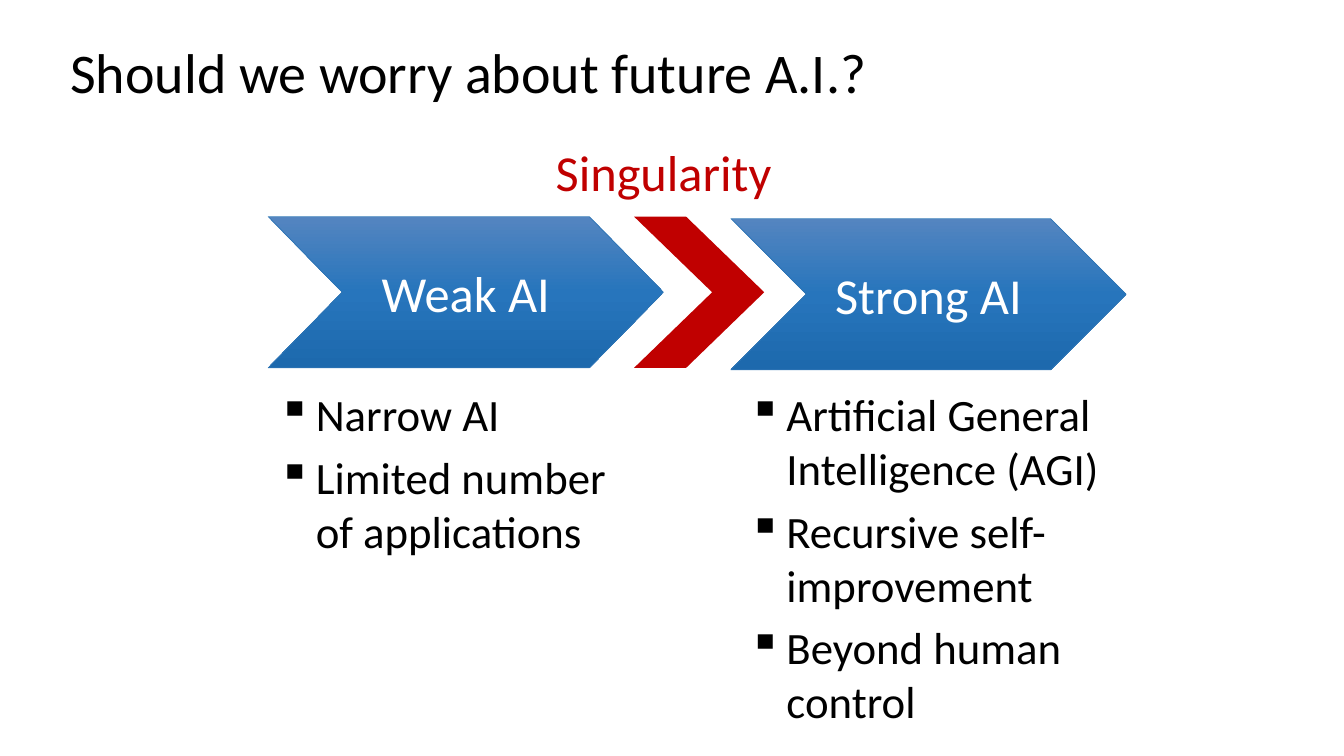
from copy import deepcopy

from lxml import etree
from pptx import Presentation
from pptx.dml.color import RGBColor
from pptx.enum.shapes import MSO_SHAPE
from pptx.enum.text import MSO_ANCHOR, PP_ALIGN
from pptx.oxml.ns import qn
from pptx.util import Cm, Pt

CHEVRON = MSO_SHAPE.CHEVRON
MIDDLE = MSO_ANCHOR.MIDDLE
LEFT, CENTER = PP_ALIGN.LEFT, PP_ALIGN.CENTER

BLACK, WHITE, RED, EDGE = "000000", "FFFFFF", "C00000", "2E75B5"
BLUES = ("5485C0", "2775BC", "1D69AD")


def color(hex_string):
    return RGBColor.from_string(hex_string)


class SlideBuilder:
    font = "Calibri"
    indent = Cm(0.95)

    def __init__(self, slide):
        self.slide = slide

    def add_run(self, paragraph, text, size, ink):
        run = paragraph.add_run()
        run.text = text
        run.font.name = self.font
        run.font.size = Pt(size)
        run.font.color.rgb = color(ink)

    def text_frame(self, box):
        frame = self.slide.shapes.add_textbox(*map(Cm, box)).text_frame
        frame.word_wrap = True
        return frame

    def heading(self, box, text, size, ink=BLACK, align=LEFT):
        paragraph = self.text_frame(box).paragraphs[0]
        paragraph.alignment = align
        paragraph.line_spacing = 0.9
        self.add_run(paragraph, text, size, ink)

    def bullets(self, box, items, size=32):
        frame = self.text_frame(box)
        for index, item in enumerate(items):
            paragraph = frame.add_paragraph() if index else frame.paragraphs[0]
            if index:
                paragraph.space_before = Pt(size * 0.2)
            properties = paragraph._p.get_or_add_pPr()
            properties.set("marL", str(self.indent))
            properties.set("indent", str(-self.indent))
            etree.SubElement(properties, qn("a:buChar")).set("char", "▪")
            self.add_run(paragraph, item, size, BLACK)

    def chevron(self, box, point):
        shape = self.slide.shapes.add_shape(CHEVRON, *map(Cm, box))
        shape.adjustments[0] = point
        shape.shadow.inherit = False
        return shape

    def plain_chevron(self, box, point, fill):
        shape = self.chevron(box, point)
        shape.fill.solid()
        shape.fill.fore_color.rgb = color(fill)
        shape.line.fill.background()

    def stage(self, box, point, text):
        shape = self.chevron(box, point)
        self.shade(shape.fill)
        shape.line.color.rgb = color(EDGE)
        shape.line.width = Pt(0.5)
        frame = shape.text_frame
        frame.word_wrap = True
        frame.vertical_anchor = MIDDLE
        paragraph = frame.paragraphs[0]
        paragraph.alignment = CENTER
        self.add_run(paragraph, text, 36, WHITE)

    def shade(self, fill):
        """Top-to-bottom gradient with evenly spaced stops."""
        fill.gradient()
        fill.gradient_angle = 270
        # A new gradient has two stops; the middle one is added here
        first = fill.gradient_stops[0]._gs
        first.addnext(deepcopy(first))
        for index, (stop, shade) in enumerate(zip(fill.gradient_stops, BLUES)):
            stop.position = index / (len(BLUES) - 1)
            stop.color.rgb = color(shade)


def main():
    deck = Presentation()
    deck.slide_width, deck.slide_height = Cm(33.87), Cm(19.05)
    builder = SlideBuilder(deck.slides.add_slide(deck.slide_layouts[6]))

    # Title
    builder.heading((1.52, 1.02, 29.21, 1.75), "Should we worry about future A.I.?", 40)

    # Path from weak to strong AI
    builder.stage((6.76, 5.46, 9.96, 3.81), 0.49, "Weak AI")
    builder.stage((18.42, 5.51, 9.96, 3.81), 0.5, "Strong AI")

    # Turning point between the two stages
    builder.plain_chevron((15.98, 5.46, 3.28, 3.81), 0.6, RED)
    builder.heading((10.16, 3.61, 13.13, 1.9), "Singularity", 36, RED, CENTER)

    # Traits of each stage
    builder.bullets((6.76, 9.63, 9.19, 3.18),
                    ["Narrow AI", "Limited number of applications"])
    builder.bullets((18.62, 9.63, 11.86, 8.56),
                    ["Artificial General Intelligence (AGI)",
                     "Recursive self-improvement",
                     "Beyond human control"])

    deck.save("out.pptx")


if __name__ == "__main__":
    main()
